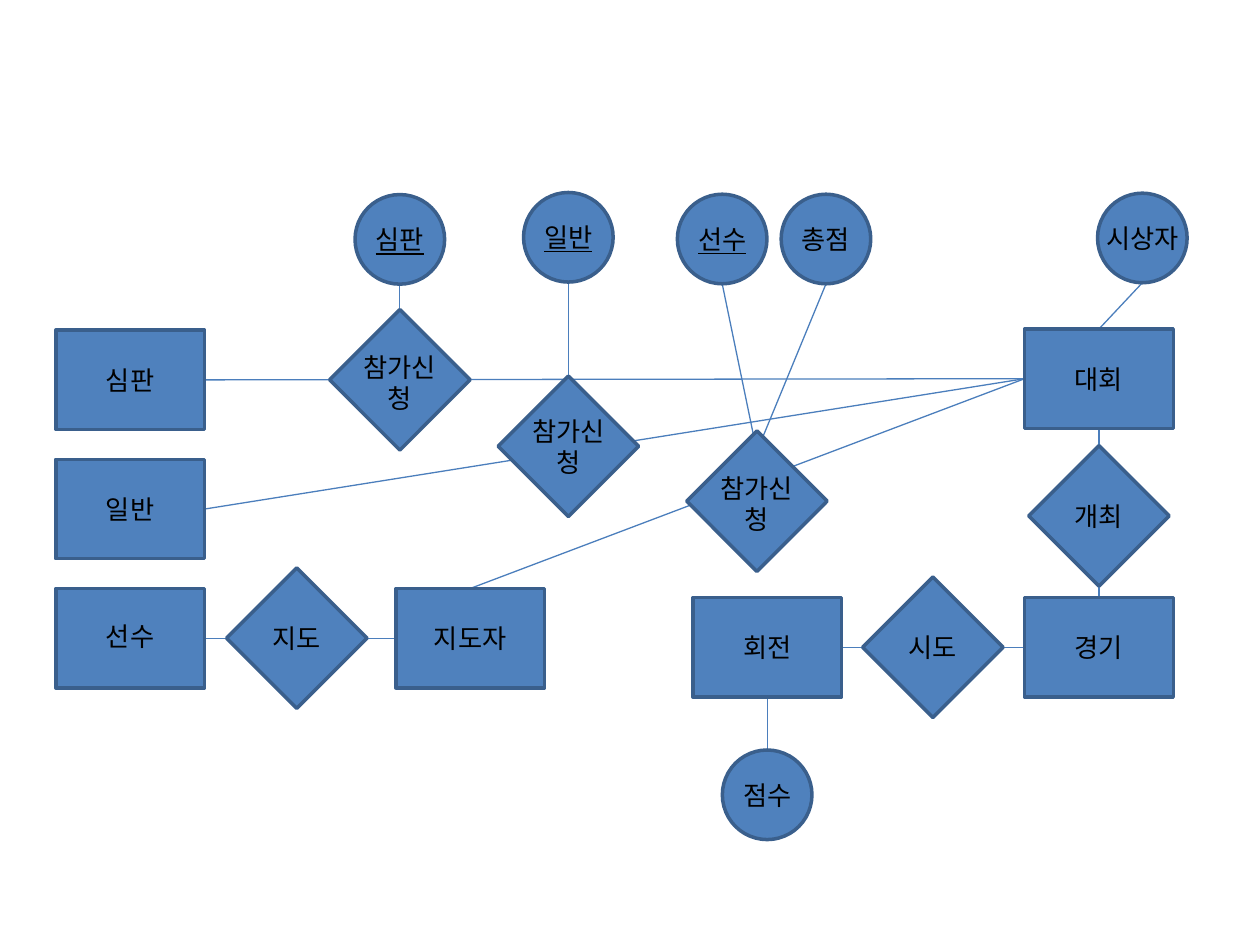
from dataclasses import dataclass

from lxml import etree
from pptx import Presentation
from pptx.dml.color import RGBColor
from pptx.enum.shapes import MSO_CONNECTOR, MSO_SHAPE
from pptx.enum.text import MSO_ANCHOR, PP_ALIGN
from pptx.oxml.ns import qn
from pptx.util import Pt

RECTANGLE, OVAL = MSO_SHAPE.RECTANGLE, MSO_SHAPE.OVAL
STRAIGHT = MSO_CONNECTOR.STRAIGHT
MIDDLE, CENTER = MSO_ANCHOR.MIDDLE, PP_ALIGN.CENTER

FONT = "Noto Sans CJK KR"
FILL, OUTLINE, LINK_COLOR, TEXT_COLOR = "4F81BD", "3A5F8C", "4B7EBC", "000000"
LINE_HEIGHT = 18
WIDE_LABEL = 62.6


@dataclass(frozen=True)
class Kind:
    form: int
    width: float
    height: float
    label_width: float
    rotation: float = 0


@dataclass(frozen=True)
class Node:
    """A part of the diagram, placed by its centre."""
    kind: Kind
    x: float
    y: float
    label: str
    lines: int = 1
    label_shift: float = 0
    underline: bool = False
    label_width: float = 0


@dataclass(frozen=True)
class Link:
    start: Node
    start_side: str
    end: Node
    end_side: str


ENTITY = Kind(RECTANGLE, 85, 56.8, WIDE_LABEL)
RELATION = Kind(RECTANGLE, 56.8, 56.8, 56.8, rotation=45)
ATTRIBUTE = Kind(OVAL, 51.2, 51.2, 51.2)

SIDES = {"left": (-0.5, 0), "right": (0.5, 0), "top": (0, -0.5), "bottom": (0, 0.5)}

LEFT_X, CONTEST_X, ROUND_X = 74.4, 628, 438.4
COACH_Y, MATCH_Y = 364.7, 369.9

judge = Node(ENTITY, LEFT_X, 217.1, "심판")
public = Node(ENTITY, LEFT_X, 290.9, "일반")
player = Node(ENTITY, LEFT_X, COACH_Y, "선수", label_shift=-1.5)
coaching = Node(RELATION, 169.6, COACH_Y, "지도")
coach = Node(ENTITY, 268.7, COACH_Y, "지도자")
contest = Node(ENTITY, CONTEST_X, 216.4, "대회")
holding = Node(RELATION, CONTEST_X, 294.8, "개최")
match = Node(ENTITY, CONTEST_X, MATCH_Y, "경기")
attempt = Node(RELATION, 533.1, MATCH_Y, "시도")
match_round = Node(ENTITY, ROUND_X, MATCH_Y, "회전")
judge_entry = Node(RELATION, 228.5, 217.1, "참가신청", lines=2, label_shift=1.5)
public_entry = Node(RELATION, 324.8, 255.1, "참가신청", lines=2)
coach_entry = Node(RELATION, 432.5, 286.4, "참가신청", lines=2, label_shift=1.5)
judge_key = Node(ATTRIBUTE, 228.5, 136.8, "심판", underline=True)
public_key = Node(ATTRIBUTE, 324.8, 135.6, "일반", underline=True)
player_key = Node(ATTRIBUTE, 412.7, 136.6, "선수", underline=True)
total = Node(ATTRIBUTE, 472, 136.6, "총점")
presenter = Node(ATTRIBUTE, 652.8, 136, "시상자", label_width=WIDE_LABEL)
score = Node(ATTRIBUTE, ROUND_X, 454.2, "점수")

NODES = [
    judge, public, player, coaching, coach, contest, holding, match, attempt,
    match_round, judge_entry, public_entry, coach_entry, judge_key, public_key,
    player_key, total, presenter, score,
]
LINKS = [
    Link(player, "right", coaching, "left"),
    Link(coaching, "right", coach, "left"),
    Link(judge, "right", contest, "left"),
    Link(public, "right", contest, "left"),
    Link(coach, "top", contest, "left"),
    Link(contest, "bottom", match, "top"),
    Link(match_round, "right", match, "left"),
    Link(match_round, "bottom", score, "top"),
    Link(judge_key, "bottom", judge_entry, "top"),
    Link(public_key, "bottom", public_entry, "top"),
    Link(player_key, "bottom", coach_entry, "top"),
    Link(total, "bottom", coach_entry, "top"),
    Link(presenter, "bottom", contest, "top"),
]


def color(value: str) -> RGBColor:
    return RGBColor.from_string(value)


def side_point(node: Node, side: str) -> tuple:
    across, down = SIDES[side]
    return Pt(node.x + across * node.kind.width), Pt(node.y + down * node.kind.height)


def draw_link(slide, link: Link) -> None:
    connector = slide.shapes.add_connector(
        STRAIGHT,
        *side_point(link.start, link.start_side),
        *side_point(link.end, link.end_side),
    )
    connector.line.color.rgb = color(LINK_COLOR)
    connector.line.width = Pt(0.75)
    properties = connector._element.find(qn("p:spPr"))
    etree.SubElement(properties, qn("a:effectLst"))


def draw_outline(slide, node: Node) -> None:
    kind = node.kind
    shape = slide.shapes.add_shape(
        kind.form,
        Pt(node.x - kind.width / 2), Pt(node.y - kind.height / 2),
        Pt(kind.width), Pt(kind.height),
    )
    shape.rotation = kind.rotation
    shape.shadow.inherit = False
    shape.fill.solid()
    shape.fill.fore_color.rgb = color(FILL)
    shape.line.color.rgb = color(OUTLINE)
    shape.line.width = Pt(2)


def draw_label(slide, node: Node) -> None:
    """Labels are separate boxes so that they stay level on turned shapes."""
    width = node.label_width or node.kind.label_width
    height = 7.2 + node.lines * LINE_HEIGHT
    box = slide.shapes.add_textbox(
        Pt(node.x - width / 2), Pt(node.y + node.label_shift - height / 2),
        Pt(width), Pt(height),
    )
    frame = box.text_frame
    frame.word_wrap = True
    frame.vertical_anchor = MIDDLE
    paragraph = frame.paragraphs[0]
    paragraph.alignment = CENTER
    paragraph.line_spacing = Pt(LINE_HEIGHT)
    run = paragraph.add_run()
    run.text = node.label
    run.font.size = Pt(15)
    run.font.name = FONT
    run.font.underline = node.underline
    run.font.color.rgb = color(TEXT_COLOR)
    east_asian = etree.SubElement(run._r.get_or_add_rPr(), qn("a:ea"))
    east_asian.set("typeface", FONT)


def main() -> None:
    presentation = Presentation()
    presentation.slide_width, presentation.slide_height = Pt(720), Pt(540)
    slide = presentation.slides.add_slide(presentation.slide_layouts[6])
    for link in LINKS:
        draw_link(slide, link)
    for node in NODES:
        draw_outline(slide, node)
        draw_label(slide, node)
    presentation.save("out.pptx")


if __name__ == "__main__":
    main()
